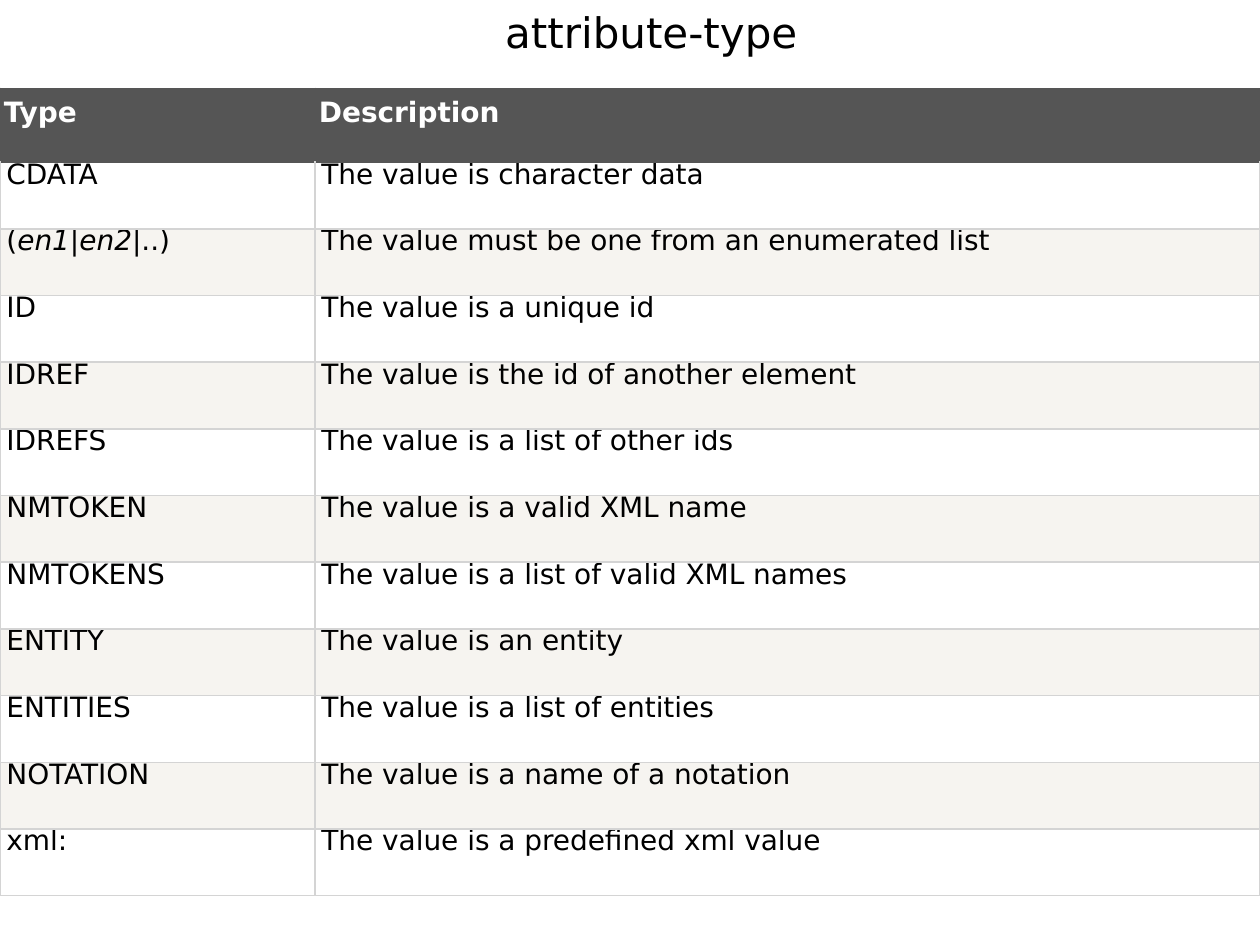
from lxml.etree import SubElement
from pptx import Presentation
from pptx.dml.color import RGBColor
from pptx.enum.text import MSO_ANCHOR, PP_ALIGN
from pptx.oxml.ns import qn
from pptx.util import Cm, Pt

FONT = "DejaVu Sans"
BLACK = RGBColor(0x00, 0x00, 0x00)
WHITE = RGBColor(0xFF, 0xFF, 0xFF)
DARK = RGBColor(0x55, 0x55, 0x55)
GRID = RGBColor(0xD4, 0xD4, 0xD4)
BAND = RGBColor(0xF6, 0xF4, 0xF0)

TITLE = "attribute-type"
HEADER = ("Type", "Description")
TYPES = [
    ("CDATA", "The value is character data"),
    ("(*en1*|*en2*|..)", "The value must be one from an enumerated list"),
    ("ID", "The value is a unique id"),
    ("IDREF", "The value is the id of another element"),
    ("IDREFS", "The value is a list of other ids"),
    ("NMTOKEN", "The value is a valid XML name"),
    ("NMTOKENS", "The value is a list of valid XML names"),
    ("ENTITY", "The value is an entity"),
    ("ENTITIES", "The value is a list of entities"),
    ("NOTATION", "The value is a name of a notation"),
    ("xml:", "The value is a predefined xml value"),
]
COLUMN_WIDTHS = (6.35, 19.05)
TABLE_HEIGHT = 16.28
HEADER_HEIGHT = 1.49


def write_text(tf, text, size=16, color=BLACK, bold=False, spacing=1.0, after=0):
    p = tf.paragraphs[0]
    p.alignment = PP_ALIGN.LEFT
    p.line_spacing = spacing
    p.space_before = Pt(0)
    p.space_after = Pt(after)
    for i, part in enumerate(text.split("*")):
        r = p.add_run()
        r.text = part
        r.font.name = FONT
        r.font.size = Pt(size)
        r.font.bold = bold
        r.font.italic = i % 2 == 1
        r.font.color.rgb = color


def set_borders(cell, **colors):
    tcPr = cell._tc.get_or_add_tcPr()
    for side in ("L", "R", "T", "B"):
        ln = SubElement(tcPr, qn(f"a:ln{side}"), w=str(Pt(1)))
        fill = SubElement(ln, qn("a:solidFill"))
        SubElement(fill, qn("a:srgbClr"), val=str(colors[side]))


def format_cell(cell, fill, border, top, margin_x, margin_y):
    cell.margin_left = cell.margin_right = Cm(margin_x)
    cell.margin_top = cell.margin_bottom = Cm(margin_y)
    cell.vertical_anchor = MSO_ANCHOR.TOP
    set_borders(cell, L=border, R=border, T=top, B=border)
    cell.fill.solid()
    cell.fill.fore_color.rgb = fill


def add_title(s):
    sp = s.shapes.title
    sp.left, sp.top, sp.width, sp.height = Cm(9.93), Cm(0), Cm(6.65), Cm(1.27)
    tf = sp.text_frame
    tf.word_wrap = False
    tf.vertical_anchor = MSO_ANCHOR.TOP
    write_text(tf, TITLE, size=24)


def add_type_table(s):
    frame = s.shapes.add_table(len(TYPES) + 1, len(HEADER), Cm(0), Cm(1.78),
                               Cm(sum(COLUMN_WIDTHS)), Cm(TABLE_HEIGHT))
    table = frame.table
    for column, width in zip(table.columns, COLUMN_WIDTHS):
        column.width = Cm(width)
    row_height = (TABLE_HEIGHT - HEADER_HEIGHT) / len(TYPES)
    for i, values in enumerate([HEADER] + TYPES):
        table.rows[i].height = Cm(row_height if i else HEADER_HEIGHT)
        for j, text in enumerate(values):
            cell = table.cell(i, j)
            if i == 0:
                format_cell(cell, DARK, DARK, DARK, 0.08, 0.08)
                write_text(cell.text_frame, text, color=WHITE, bold=True,
                           spacing=1.15, after=10)
            else:
                format_cell(cell, WHITE if i % 2 else BAND, GRID,
                            DARK if i == 1 else GRID, 0.13, 0.15)
                write_text(cell.text_frame, text, spacing=Pt(12), after=10)


def main():
    prs = Presentation()
    prs.slide_width, prs.slide_height = Cm(25.4), Cm(19.05)
    s = prs.slides.add_slide(prs.slide_layouts[5])
    add_title(s)
    add_type_table(s)
    prs.save("out.pptx")


if __name__ == "__main__":
    main()
